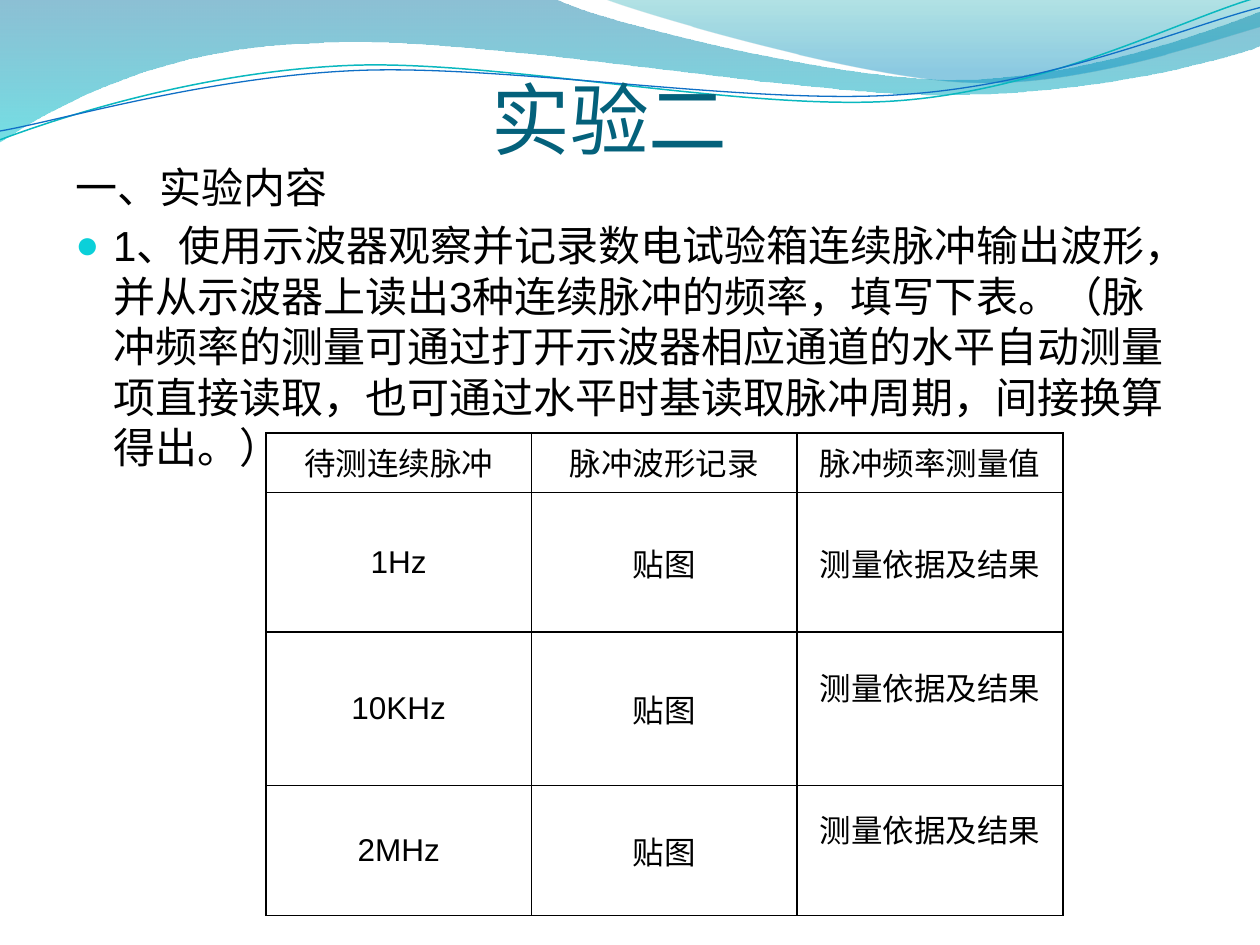
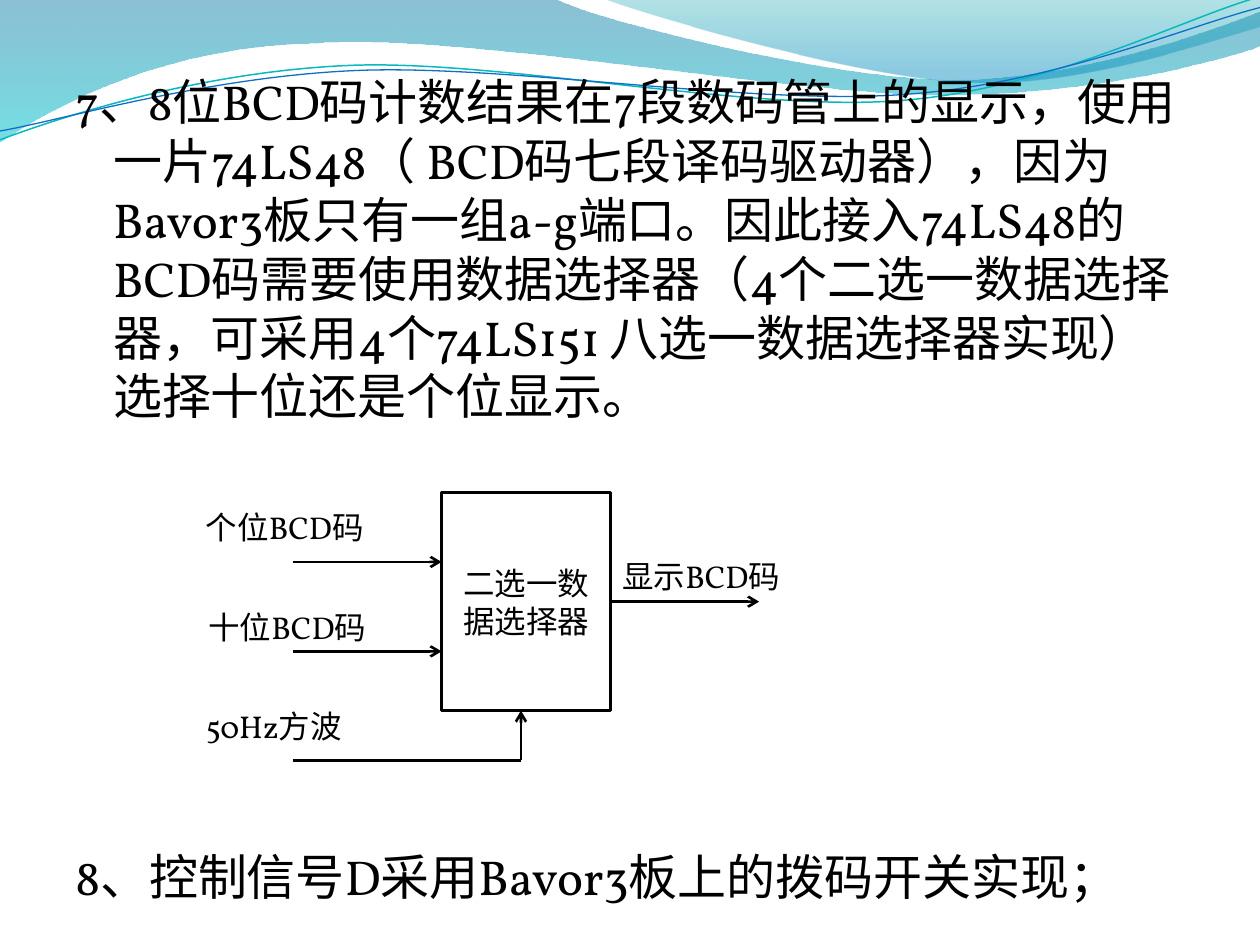
from pptx import Presentation
from pptx.dml.color import RGBColor
from pptx.enum.shapes import MSO_CONNECTOR, MSO_SHAPE
from pptx.enum.text import MSO_ANCHOR, PP_ALIGN
from pptx.oxml.ns import qn
from pptx.util import Inches, Pt
from lxml.etree import SubElement

COLS, ROWS = 100, 75
WIDTH, HEIGHT = Inches(10), Inches(7.5)
COL, ROW = WIDTH / COLS, HEIGHT / ROWS
PAGE = (0, 0, COLS, ROWS)
SANS, SERIF, HEAD = "Arial", "Vollkorn", "Calibri"

HUES = {
    "ink": "000000", "paper": "FFFFFF", "title": "04617B", "dot": "0BD0D9",
    "deep": "0074A1", "aqua": "00C6CF", "teal": "00A1A9", "blue": "008BBF",
    "upper": "0AB8BF", "lower": "0F6FC6",
}

FILLS = [
    ([(0, 0), (44, -0.1), (47.6, 1.7, 66.4, 6.3, 75.8, 6.3),
      (85.3, 6.3, 95.8, 2.6, 100, 0.9), (100.1, 3.6),
      (98.3, 4.4, 87, 7.6, 74.6, 7.5), (62.2, 7.5, 38.2, 2.8, 25.7, 3.4),
      (12.9, 3.6, 4.6, 8.3, -0.1, 11.3), (0, 0)],
     [(0, "deep", 45), (1, "aqua", 55)]),
    ([(47.9, -0.1), (50.9, 1.1, 68.2, 6.2, 76.9, 6.5),
      (85.6, 6.9, 96.1, 3.2, 100, 2.1), (100, 0), (47.9, -0.1)],
     [(0, "teal", 30), (0.8, "blue", 45)]),
]
STROKES = [
    ([(0, 11.1), (4.8, 9.3, 15.8, 5.7, 27.7, 5.2),
      (39.5, 4.7, 59.3, 8.9, 71.3, 8), (83.3, 7.1, 93.8, 1.5, 99.8, -0.2)],
     "upper", 0.85),
    ([(0, 10.4), (4.7, 9.6, 16.4, 6.1, 28.3, 5.6),
      (40.3, 5.1, 59.7, 8.4, 71.7, 7.5), (83.6, 6.7, 94.1, 2.1, 100, 0.6)],
     "lower", 0.75),
]

TASK = ("1、使用示波器观察并记录数电试验箱连续脉冲输出波形，并从示波器上读出3种连续脉冲的频率，"
        "填写下表。（脉冲频率的测量可通过打开示波器相应通道的水平自动测量项直接读取，"
        "也可通过水平时基读取脉冲周期，间接换算得出。）")
SHOW = ("7、8位BCD码计数结果在7段数码管上的显示，使用一片74LS48（ BCD码七段译码驱动器），"
        "因为Bavor3板只有一组a-g端口。因此接入74LS48的BCD码需要使用数据选择器"
        "（4个二选一数据选择器，可采用4个74LS151 八选一数据选择器实现）选择十位还是个位显示。")
SWITCH = "8、控制信号D采用Bavor3板上的拨码开关实现；"


def hue(name):
    return RGBColor.from_string(HUES[name])


def place(box, x, y, w, h):
    return [round(v) for v in ((box[0] + x) * COL, (box[1] + y) * ROW, w * COL, h * ROW)]


def bend(shape, parts):
    legs = list(shape._element.iter(qn("a:lnTo")))
    for part in parts:
        count = len(part) // 2
        group, legs = legs[:count], legs[count:]
        if count == 3:
            group[0].tag = qn("a:cubicBezTo")
            for leg in group[1:]:
                group[0].append(leg[0])
                leg.getparent().remove(leg)


def outline(slide, box, path, close):
    spots = [place(box, *part[i:i + 2], 0, 0)[:2]
             for part in path for i in range(0, len(part), 2)]
    maker = slide.shapes.build_freeform(*spots[0])
    maker.add_line_segments(spots[1:], close=close)
    shape = maker.convert_to_shape()
    shape.shadow.inherit = False
    bend(shape, path[1:])
    return shape


def waves(slide, box):
    for path, stops in FILLS:
        shape = outline(slide, box, path, True)
        shape.line.fill.background()
        shape.fill.gradient()
        shape.fill.gradient_angle = 270
        for stop, (spot, name, _) in zip(shape.fill.gradient_stops, stops):
            stop.position = spot
            stop.color.rgb = hue(name)
        for tint, (_, _, share) in zip(shape._element.spPr.iter(qn("a:srgbClr")), stops):
            SubElement(tint, qn("a:alpha"), val=str(share * 1000))
    for path, name, width in STROKES:
        shape = outline(slide, box, path, False)
        shape.fill.background()
        shape.line.color.rgb = hue(name)
        shape.line.width = Pt(width)


def style(para, size, face, name="ink"):
    para.font.size = Pt(size)
    para.font.name = face
    para.font.color.rgb = hue(name)


def write(slide, box, lines, size, face, name="ink"):
    frame = slide.shapes.add_textbox(*place(box, 0, 0, *box[2:])).text_frame
    frame.word_wrap = True
    for i, line in enumerate(lines):
        para = frame.paragraphs[0] if i == 0 else frame.add_paragraph()
        para.text = line
        style(para, size, face, name)
    return frame


def hang(para, dot=False):
    props = para._p.get_or_add_pPr()
    props.set("marL", str(Inches(0.3)))
    props.set("indent", str(-Inches(0.3)))
    if dot:
        marks = [SubElement(props, qn("a:buClr")),
                 SubElement(props, qn("a:buSzPct"), val="95000"),
                 SubElement(props, qn("a:buFont"), typeface=SANS),
                 SubElement(props, qn("a:buChar"), char="●")]
        SubElement(marks[0], qn("a:srgbClr"), val=HUES["dot"])
        for i, mark in enumerate(marks):
            props.remove(mark)
            props.insert(i, mark)


def title(slide, box, text):
    frame = write(slide, box, [text], 45, HEAD, "title")
    frame.margin_left = frame.margin_right = frame.margin_bottom = 0
    frame.vertical_anchor = MSO_ANCHOR.BOTTOM


def brief(slide, box):
    frame = write(slide, box, ["一、实验内容", TASK], 24, SANS)
    hang(frame.paragraphs[1], dot=True)
    frame.paragraphs[1].space_before = Pt(4.8)


def notes(slide, box):
    frame = write(slide, box, [SHOW, SWITCH], 28, SERIF)
    for para in frame.paragraphs:
        hang(para)
    frame.paragraphs[1].space_before = Pt(241)


def border(cell):
    props = cell._tc.get_or_add_tcPr()
    for i, side in enumerate(("lnL", "lnR", "lnT", "lnB")):
        edge = SubElement(props, qn("a:" + side), w=str(Pt(1)))
        fill = SubElement(edge, qn("a:solidFill"))
        SubElement(fill, qn("a:srgbClr"), val=HUES["ink"])
        props.remove(edge)
        props.insert(i, edge)


def chart(slide, box):
    heads = ["待测连续脉冲", "脉冲波形记录", "脉冲频率测量值"]
    rows = [heads] + [[rate, "贴图", "测量依据及结果"] for rate in ("1Hz", "10KHz", "2MHz")]
    table = slide.shapes.add_table(4, 3, *place(box, 0, 0, *box[2:])).table
    table.first_row = table.horz_banding = False
    for col in table.columns:
        col.width = round(box[2] * COL / 3)
    for row, tall in zip(table.rows, (4.75, 11.05, 12.2, 10.3)):
        row.height = round(tall * ROW)
    for r, row in enumerate(rows):
        for c, text in enumerate(row):
            cell = table.cell(r, c)
            cell.text = text
            cell.fill.background()
            border(cell)
            cell.vertical_anchor = MSO_ANCHOR.MIDDLE if r else MSO_ANCHOR.TOP
            if r > 1 and c == 2:
                cell.margin_bottom = Inches(0.4)
            para = cell.text_frame.paragraphs[0]
            para.alignment = PP_ALIGN.CENTER
            style(para, 18, SANS if r and c == 0 else SERIF)


def wire(slide, box, start, end, tip=True):
    ends = [v for spot in (start, end) for v in place(box, *spot, 0, 0)[:2]]
    link = slide.shapes.add_connector(MSO_CONNECTOR.STRAIGHT, *ends)
    link.line.color.rgb = hue("ink")
    link.line.width = Pt(1.5)
    if tip:
        SubElement(link.line._get_or_add_ln(), qn("a:tailEnd"), type="arrow")
    SubElement(link._element.spPr, qn("a:effectLst"))


def circuit(slide, box):
    left, top, wide, tall = 19.65, 0, 13.4, 17.3
    right, tail, run = left + wide, 7.85, 11.8
    turn, base = 25.95, 21.25
    block = slide.shapes.add_shape(MSO_SHAPE.RECTANGLE, *place(box, left, top, wide, tall))
    block.shadow.inherit = False
    block.fill.solid()
    block.fill.fore_color.rgb = hue("paper")
    block.line.color.rgb = hue("ink")
    block.line.width = Pt(2)
    frame = block.text_frame
    frame.word_wrap = True
    frame.vertical_anchor = MSO_ANCHOR.MIDDLE
    para = frame.paragraphs[0]
    para.text = "二选一数据选择器"
    para.alignment = PP_ALIGN.CENTER
    style(para, 18, SERIF)
    for y in (5.5, 12.6):
        wire(slide, box, (tail, y), (left, y))
    wire(slide, box, (turn, base), (turn, tall))
    wire(slide, box, (turn, base), (tail, base), tip=False)
    wire(slide, box, (right, 8.65), (right + run, 8.65))
    tags = [("个位BCD码", -0.05, 0.75, 18.9), ("十位BCD码", 0.15, 8.65, 18.9),
            ("显示BCD码", 33, 4.6, 18.9), ("50Hz方波", -0.05, 16.5, 15.7)]
    for text, x, y, w in tags:
        write(slide, (box[0] + x, box[1] + y, w, 4), [text], 18, SERIF)


def sheet(deck):
    slide = deck.slides.add_slide(deck.slide_layouts[6])
    waves(slide, PAGE)
    return slide


def main():
    deck = Presentation()
    deck.slide_width, deck.slide_height = WIDTH, HEIGHT
    first = sheet(deck)
    title(first, (39, 5.2, 27.3, 7.9), "实验二")
    brief(first, (5, 12.3, 90, 56.9))
    chart(first, (21.1, 34.35, 63.25, 38.3))
    second = sheet(deck)
    notes(second, (5, 5.2, 90, 69.8))
    circuit(second, (15.4, 39.1, 52, 22))
    deck.save("out.pptx")


if __name__ == "__main__":
    main()
